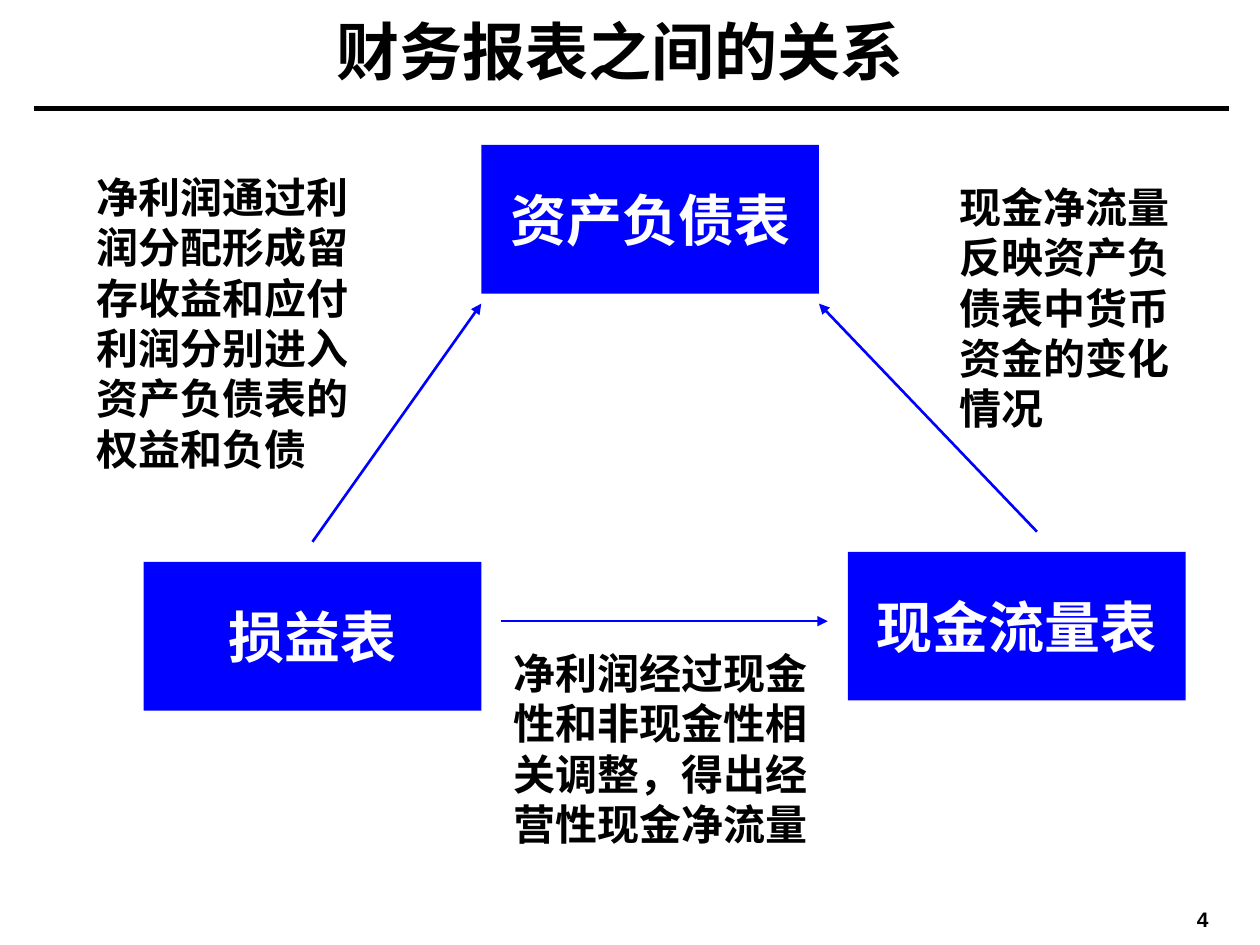
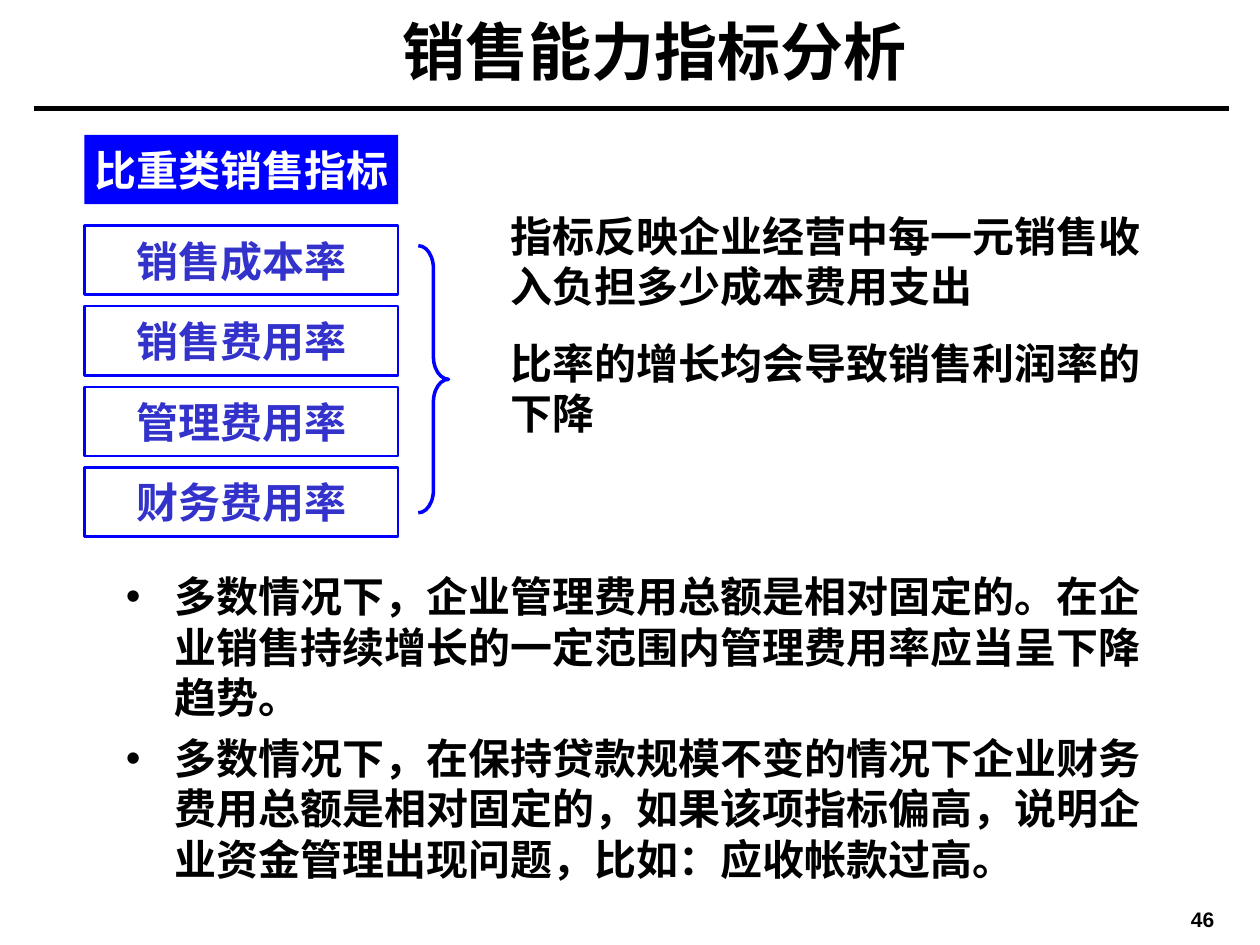
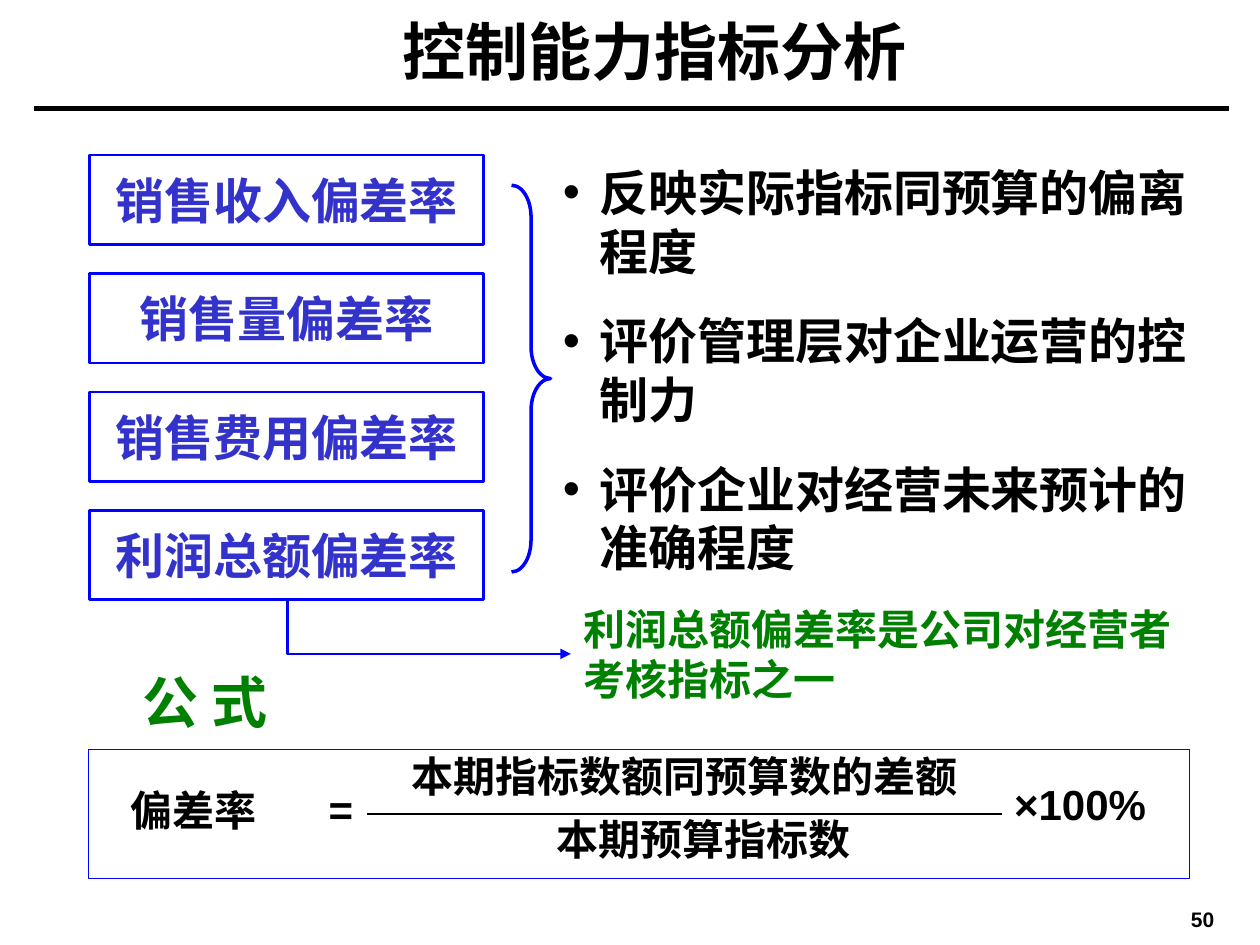
from lxml import etree
from pptx import Presentation
from pptx.dml.color import RGBColor
from pptx.enum.shapes import MSO_CONNECTOR, MSO_SHAPE
from pptx.enum.text import MSO_ANCHOR, MSO_AUTO_SIZE, PP_ALIGN
from pptx.oxml.ns import qn
from pptx.util import Inches, Pt

STRAIGHT, ELBOW = MSO_CONNECTOR.STRAIGHT, MSO_CONNECTOR.ELBOW
RECTANGLE, RIGHT_BRACE = MSO_SHAPE.RECTANGLE, MSO_SHAPE.RIGHT_BRACE
LEFT, CENTER = PP_ALIGN.LEFT, PP_ALIGN.CENTER
TOP, MIDDLE = MSO_ANCHOR.TOP, MSO_ANCHOR.MIDDLE
GROW, FIXED = MSO_AUTO_SIZE.SHAPE_TO_FIT_TEXT, MSO_AUTO_SIZE.NONE

BLACK, WHITE, BLUE, INDIGO, GREEN = "000000", "FFFFFF", "0000FF", "3333CC", "008000"
SERIF, SANS, HAN = "Times New Roman", "Arial", "Noto Sans CJK SC"


def color(value):
    return RGBColor.from_string(value)


class DeckBuilder:
    def __init__(self):
        self.deck = Presentation()
        self.deck.slide_width, self.deck.slide_height = Inches(10), Inches(7.5)
        self.page = None

    def add_page(self, title, number, left=1.85, width=6.69):
        self.page = self.deck.slides.add_slide(self.deck.slide_layouts[6])
        self.line((0.27, 0.86), (9.75, 0.86), BLACK, 3)
        self.text([title], left, 0.05, width, 0.7, 36, align=CENTER, before=22.5)
        self.text([str(number)], 9.21, 7.21, 0.67, 0.17, 12, font=SANS, align=CENTER,
                  before=0, anchor=MIDDLE, fit=FIXED, padding=0)

    def fill_text(self, shape, paragraphs, size, ink, font, align, before=0):
        frame = shape.text_frame
        frame.text = "\n".join(paragraphs)
        for para in frame.paragraphs:
            para.alignment = align
            para.space_before = Pt(before)
            para.font.size = Pt(size)
            para.font.bold = True
            para.font.name = font
            para.font.color.rgb = color(ink)
        for latin in list(shape.element.iter(qn("a:latin"))):
            east_asian = etree.Element(qn("a:ea"), typeface=HAN)
            latin.addnext(east_asian)

    def text(self, paragraphs, left, top, width, height, size=24, ink=BLACK, font=SERIF,
             align=LEFT, before=15, anchor=TOP, fit=GROW, wrap=True, padding=0.05):
        box = self.page.shapes.add_textbox(Inches(left), Inches(top), Inches(width), Inches(height))
        frame = box.text_frame
        frame.word_wrap = wrap
        frame.auto_size = fit
        frame.vertical_anchor = anchor
        frame.margin_top = frame.margin_bottom = Inches(padding)
        self.fill_text(box, paragraphs, size, ink, font, align, before)
        return box

    def bullets(self, paragraphs, left, top, width, height, size, before, indent):
        box = self.text(paragraphs, left, top, width, height, size, before=before)
        for properties in box.element.iter(qn("a:pPr")):
            properties.set("marL", str(Inches(indent)))
            properties.set("indent", str(-Inches(indent)))
            defaults = properties.find(qn("a:defRPr"))
            defaults.addprevious(etree.Element(qn("a:buFont"), typeface=SANS))
            defaults.addprevious(etree.Element(qn("a:buChar"), char="•"))

    def shape(self, kind, left, top, width, height, fill=None, outline=None, weight=1.5):
        shape = self.page.shapes.add_shape(
            kind, Inches(left), Inches(top), Inches(width), Inches(height))
        shape.shadow.inherit = False
        if fill:
            shape.fill.solid()
            shape.fill.fore_color.rgb = color(fill)
        else:
            shape.fill.background()
        if outline:
            shape.line.color.rgb = color(outline)
            shape.line.width = Pt(weight)
        else:
            shape.line.fill.background()
        return shape

    def label(self, caption, left, top, width, height, size, filled=False):
        fill, outline, ink = (BLUE, None, WHITE) if filled else (None, BLUE, INDIGO)
        box = self.shape(RECTANGLE, left, top, width, height, fill, outline)
        box.text_frame.word_wrap = False
        box.text_frame.vertical_anchor = MIDDLE
        self.fill_text(box, [caption], size, ink, SERIF, CENTER)

    def label_column(self, captions, left, top, width, height, step, size):
        for index, caption in enumerate(captions):
            self.label(caption, left, top + index * step, width, height, size)

    def brace(self, left, top, width, height, curl):
        brace = self.shape(RIGHT_BRACE, left, top, width, height, outline=BLUE, weight=2)
        brace.adjustments[0] = curl

    def line(self, start, end, ink=BLUE, weight=1.5, arrow=False, kind=STRAIGHT):
        line = self.page.shapes.add_connector(kind, *map(Inches, start + end))
        line.line.color.rgb = color(ink)
        line.line.width = Pt(weight)
        properties = line.element.spPr
        etree.SubElement(properties, qn("a:effectLst"))
        if arrow:
            etree.SubElement(properties.find(qn("a:ln")), qn("a:tailEnd"), type="triangle")
        return line

    def down_then_right(self, start, end):
        middle_x, middle_y = (start[0] + end[0]) / 2, (start[1] + end[1]) / 2
        half_run, half_drop = (end[0] - start[0]) / 2, (end[1] - start[1]) / 2
        line = self.line((middle_x + half_drop, middle_y - half_run),
                         (middle_x - half_drop, middle_y + half_run), arrow=True, kind=ELBOW)
        properties = line.element.spPr
        properties.find(qn("a:prstGeom")).set("prst", "bentConnector2")
        properties.find(qn("a:xfrm")).set("rot", str(270 * 60000))


def statements_page(builder):
    builder.add_page("财务报表之间的关系", 4, 2.24, 5.36)
    for name, left, top in [("资产负债表", 3.82, 1.15), ("损益表", 1.14, 4.46),
                            ("现金流量表", 6.73, 4.38)]:
        builder.label(name, left, top, 2.68, 1.18, 32, filled=True)
    for start, end in [((3.98, 4.93), (6.57, 4.93)), ((2.48, 4.3), (3.82, 2.41)),
                       ((8.23, 4.22), (6.5, 2.41))]:
        builder.line(start, end, arrow=True)
    builder.text(["净利润通过利润分配形成留存收益和应付利润分别进入资产负债表的权益和负债"],
                 0.67, 1.31, 2.2, 2.5)
    builder.text(["净利润经过现金性和非现金性相关调整，得出经营性现金净流量"],
                 3.98, 5.09, 2.68, 1.7)
    builder.text(["现金净流量反映资产负债表中货币资金的变化情况"], 7.52, 1.39, 1.89, 2.1)


def sales_page(builder):
    builder.add_page("销售能力指标分析", 46)
    builder.label("比重类销售指标", 0.67, 1.07, 2.49, 0.55, 24, filled=True)
    builder.label_column(["销售成本率", "销售费用率", "管理费用率", "财务费用率"],
                         0.67, 1.79, 2.49, 0.55, 0.64, 24)
    builder.brace(3.32, 1.95, 0.24, 2.12, 0.75)
    builder.text(["指标反映企业经营中每一元销售收入负担多少成本费用支出",
                  "比率的增长均会导致销售利润率的下降"], 3.95, 1.62, 5.36, 1.91)
    builder.bullets([
        "多数情况下，企业管理费用总额是相对固定的。在企业销售持续增长的一定范围内管理费用率应当呈下降趋势。",
        "多数情况下，在保持贷款规模不变的情况下企业财务费用总额是相对固定的，如果该项指标偏高，"
        "说明企业资金管理出现问题，比如：应收帐款过高。",
    ], 0.9, 4.48, 8.58, 2.59, 24, 6, 0.39)


def control_page(builder):
    builder.add_page("控制能力指标分析", 50)
    builder.label_column(["销售收入偏差率", "销售量偏差率", "销售费用偏差率", "利润总额偏差率"],
                         0.71, 1.23, 3.13, 0.71, 0.94, 28)
    builder.brace(4.06, 1.47, 0.31, 3.07, 0.82)
    builder.bullets(["反映实际指标同预算的偏离程度", "评价管理层对企业运营的控制力",
                     "评价企业对经营未来预计的准确程度"], 4.37, 1.24, 5.36, 3.39, 28, 17.5, 0.29)
    builder.down_then_right((2.28, 4.76), (4.53, 5.19))
    builder.text(["利润总额偏差率是公司对经营者考核指标之一"], 4.53, 4.74, 4.96, 0.9, ink=GREEN)
    builder.text(["公 式"], 0.85, 5.25, 1.55, 0.63, 32, GREEN, HAN, CENTER, 0, MIDDLE,
                 FIXED, wrap=False)
    builder.shape(RECTANGLE, 0.7, 5.95, 8.74, 1.02, outline=BLUE, weight=0.75)
    for term, left, top, width, align in [
        ("偏差率", 0.94, 6.18, 1.58, LEFT),
        ("=", 2.51, 6.17, 0.47, LEFT),
        ("本期指标数额同预算数的差额", 2.99, 5.91, 4.88, CENTER),
        ("本期预算指标数", 3.77, 6.41, 3.62, CENTER),
        ("×100%", 7.95, 6.13, 1.42, LEFT),
    ]:
        builder.text([term], left, top, width, 0.5, font=SANS, align=align)
    builder.line((2.91, 6.46), (7.95, 6.46), BLACK, 0.75)


def main():
    builder = DeckBuilder()
    statements_page(builder)
    sales_page(builder)
    control_page(builder)
    builder.deck.save("out.pptx")


if __name__ == "__main__":
    main()
